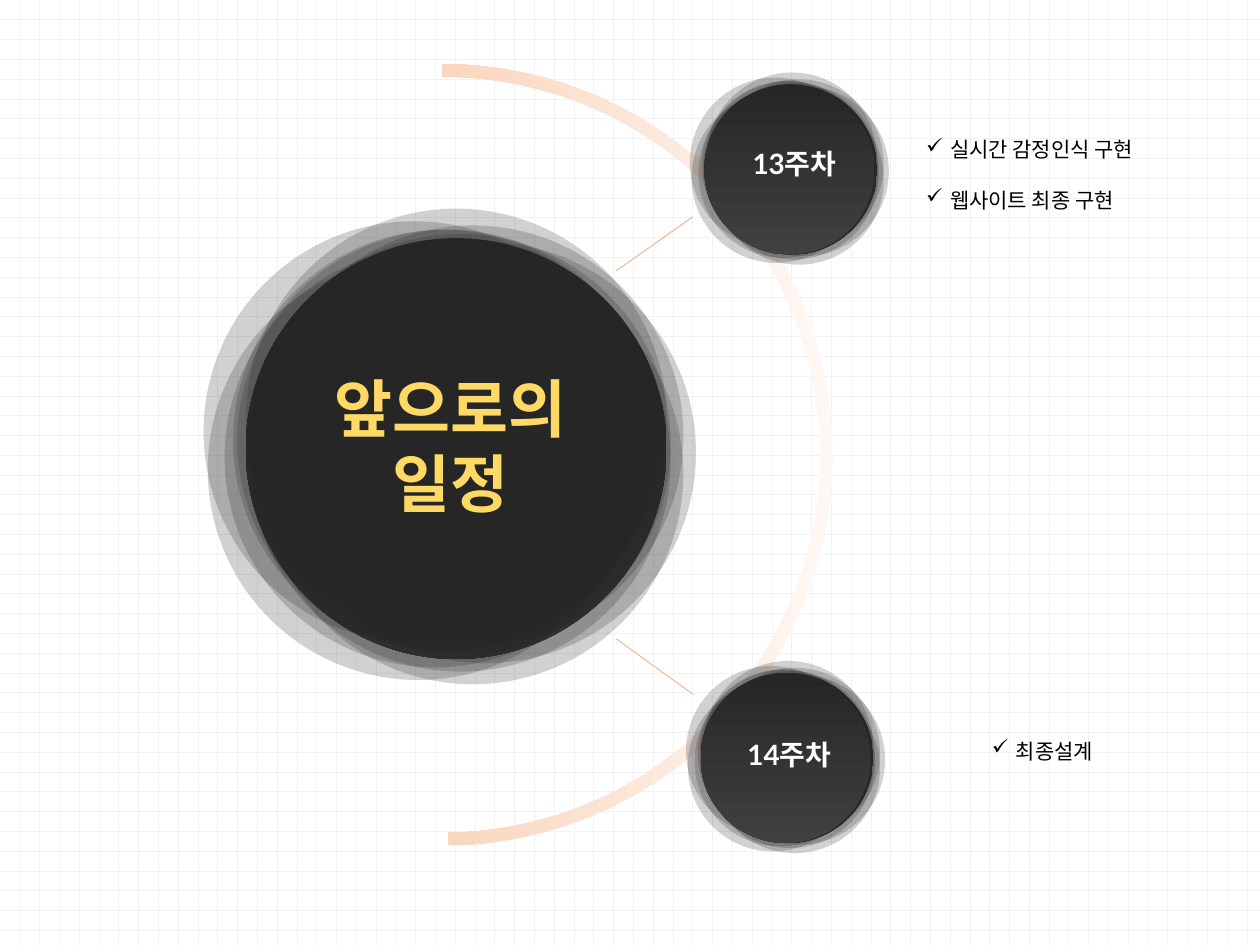
import dataclasses

import pptx
import pptx.dml.color
import pptx.enum.dml
import pptx.enum.shapes
import pptx.enum.text
import pptx.oxml
import pptx.oxml.ns
import pptx.util

Inches = pptx.util.Inches
Pt = pptx.util.Pt
RGB = pptx.dml.color.RGBColor.from_string
SHAPE = pptx.enum.shapes.MSO_SHAPE
ALIGN = pptx.enum.text.PP_ALIGN
ANCHOR = pptx.enum.text.MSO_ANCHOR
qn = pptx.oxml.ns.qn
NS = pptx.oxml.ns.nsdecls("a")


@dataclasses.dataclass
class Theme:
    paper: str = "FFFFFF"
    grid: str = "F2F2F2"
    dark: str = "262626"
    dark_end: str = "404040"
    link: str = "F4B183"
    title: str = "FFD966"
    label: str = "FFFFFF"
    body: str = "000000"
    arc: tuple = ((0, "FEF8F5", 100), (74, "F7C5A2", 100),
                  (83, "F7C5A2", 100), (100, "FAD8C1", 100))
    gloss: tuple = ((0, "FFFFFF", 0), (100, "FFFFFF", 7))
    halo_opacity: int = 21
    latin: str = "Lato"
    korean: str = "Noto Sans CJK KR"
    title_size: int = 36
    label_size: int = 16
    body_size: int = 12


HALO_OFFSETS = [
    (0.04, -0.03), (-0.03, -0.02), (-0.05, 0.02), (0.01, 0.03),
    (-0.02, -0.02), (0.01, -0.01), (-0.09, 0.05), (0.04, 0.06),
    (-0.1, -0.04), (0, -0.07), (0.07, 0.01),
]


class Deck:
    def __init__(self, theme):
        self.theme = theme
        self.prs = pptx.Presentation()
        self.prs.slide_width, self.prs.slide_height = Inches(10), Inches(7.5)
        self.s = self.prs.slides.add_slide(self.prs.slide_layouts[6])

    def shape(self, kind, x, y, w, h, color=None, opacity=100):
        sp = self.s.shapes.add_shape(kind, Inches(x), Inches(y), Inches(w), Inches(h))
        sp.shadow.inherit = False
        sp.line.fill.background()
        if color:
            sp.fill.solid()
            sp.fill.fore_color.rgb = RGB(color)
        if opacity < 100:
            clr = sp._element.spPr.find(qn("a:solidFill"))[0]
            clr.append(pptx.oxml.parse_xml(f'<a:alpha {NS} val="{opacity * 1000}"/>'))
        return sp

    def gradient(self, sp, stops, angle):
        sp.fill.background()
        spPr = sp._element.spPr
        gs = "".join(
            f'<a:gs pos="{pos * 1000}"><a:srgbClr val="{color}">'
            f'<a:alpha val="{opacity * 1000}"/></a:srgbClr></a:gs>'
            for pos, color, opacity in stops)
        spPr.replace(spPr.find(qn("a:noFill")), pptx.oxml.parse_xml(
            f'<a:gradFill {NS} rotWithShape="1"><a:gsLst>{gs}</a:gsLst>'
            f'<a:lin ang="{angle * 60000}" scaled="0"/></a:gradFill>'))

    def grid(self):
        sp = self.shape(SHAPE.RECTANGLE, 0, 0, 10, 7.5)
        sp.fill.patterned()
        sp.fill.pattern = pptx.enum.dml.MSO_PATTERN.DOTTED_GRID
        sp.fill.fore_color.rgb = RGB(self.theme.grid)
        sp.fill.back_color.rgb = RGB(self.theme.paper)

    def arc(self, x, y, size):
        sp = self.shape(SHAPE.BLOCK_ARC, x, y, size, size)
        sp.rotation = 90
        for i, value in enumerate((108, 215.42, 0.016)):
            sp.adjustments[i] = value
        self.gradient(sp, self.theme.arc, 90)

    def link(self, x1, y1, x2, y2):
        line = self.s.shapes.add_connector(
            pptx.enum.shapes.MSO_CONNECTOR.STRAIGHT,
            Inches(x1), Inches(y1), Inches(x2), Inches(y2))
        line.line.color.rgb = RGB(self.theme.link)
        line.line.width = Pt(0.5)
        line._element.spPr.append(pptx.oxml.parse_xml(f"<a:effectLst {NS}/>"))

    def disc(self, x, y, size):
        sp = self.shape(SHAPE.OVAL, x, y, size, size)
        self.gradient(sp, ((0, self.theme.dark, 100), (100, self.theme.dark_end, 100)), 90)

    def halo_disc(self, x, y, size, capped=True):
        gloss = self.shape(SHAPE.CHORD, x + 0.01, y + 0.03 * size,
                           0.945 * size, 0.945 * size)
        gloss.adjustments[0], gloss.adjustments[1] = 39.21, 147.6
        self.gradient(gloss, self.theme.gloss, 0)
        self.disc(x, y, size)
        for dx, dy in HALO_OFFSETS:
            self.shape(SHAPE.OVAL, x + dx * size, y + dy * size, size, size,
                       self.theme.dark, self.theme.halo_opacity)
        if capped:
            self.disc(x - 0.02, y, size)

    def text(self, box, lines, style, anchor=ANCHOR.MIDDLE, align=ALIGN.CENTER,
             spacing=None, bullet=None):
        tb = self.s.shapes.add_textbox(*map(Inches, box))
        tf = tb.text_frame
        frame = dict(word_wrap=True, vertical_anchor=anchor, margin_left=0,
                     margin_right=0, margin_top=0, margin_bottom=0)
        for name, value in frame.items():
            setattr(tf, name, value)
        for i, line in enumerate(lines):
            p = tf.paragraphs[0] if i == 0 else tf.add_paragraph()
            p.alignment = align
            if spacing:
                p.line_spacing = spacing
            if bullet:
                pPr = p._p.get_or_add_pPr()
                pPr.set("marL", str(Inches(0.19)))
                pPr.set("indent", str(-Inches(0.19)))
                pPr.append(pptx.oxml.parse_xml(f'<a:buChar {NS} char="{bullet}"/>'))
            r = p.add_run()
            r.text = line
            for name, value in style.items():
                if name == "color":
                    r.font.color.rgb = RGB(value)
                else:
                    setattr(r.font, name, value)
            r._r.get_or_add_rPr().append(pptx.oxml.parse_xml(
                f'<a:ea {NS} typeface="{self.theme.korean}"/>'))


def main():
    theme = Theme()
    deck = Deck(theme)
    title = dict(size=Pt(theme.title_size), name=theme.korean, bold=True, color=theme.title)
    label = dict(size=Pt(theme.label_size), name=theme.latin, bold=True, color=theme.label)
    body = dict(size=Pt(theme.body_size), name=theme.korean, color=theme.body)

    deck.grid()
    deck.arc(0.41, 0.51, 6.2)
    deck.link(4.89, 2.15, 5.5, 1.72)
    deck.link(4.89, 5.07, 5.5, 5.51)

    deck.halo_disc(5.61, 0.67, 1.35)
    deck.text((5.86, 1.16, 0.89, 0.27), ["13주차"], label)
    deck.text((7.35, 0.91, 2.57, 0.75), ["실시간 감정인식 구현", "웹사이트 최종 구현"],
              body, align=ALIGN.LEFT, spacing=2.0, bullet="✓")

    deck.halo_disc(1.95, 1.89, 3.34, capped=False)
    deck.halo_disc(5.58, 5.34, 1.35)
    deck.text((1.58, 2.93, 3.99, 1.41), ["앞으로의", "일정"], title, anchor=ANCHOR.TOP)
    deck.text((5.83, 5.85, 0.87, 0.27), ["14주차"], label)
    deck.text((7.81, 5.88, 0.93, 0.18), ["최종설계"], body, spacing=0.9, bullet="✓")

    deck.prs.save("out.pptx")


if __name__ == "__main__":
    main()
